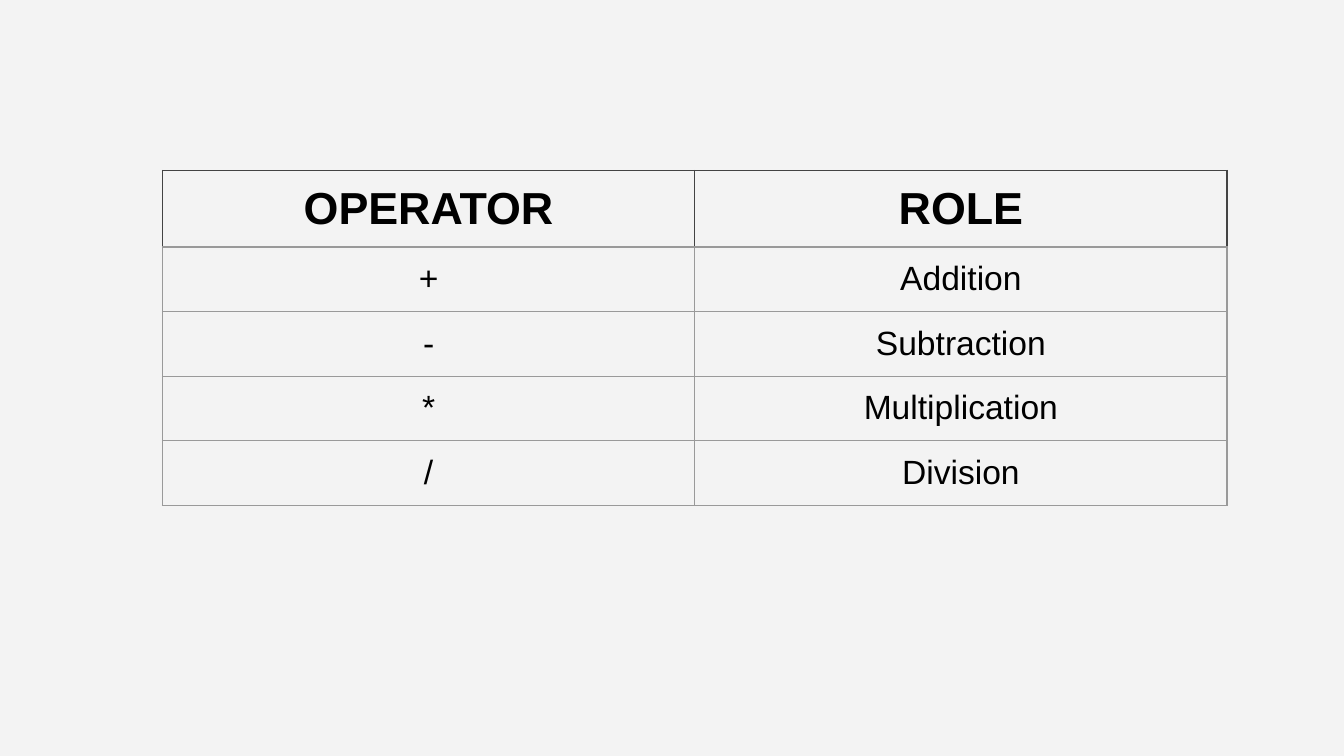
from lxml.etree import SubElement
from pptx import Presentation
from pptx.dml.color import RGBColor
from pptx.enum.text import PP_ALIGN
from pptx.oxml.ns import qn
from pptx.util import Cm, Pt

# Content
ROWS = [
    ("OPERATOR", "ROLE"),
    ("+", "Addition"),
    ("-", "Subtraction"),
    ("*", "Multiplication"),
    ("/", "Division"),
]

# Style
BACKGROUND = RGBColor(0xF3, 0xF3, 0xF3)
TEXT = RGBColor(0x00, 0x00, 0x00)
HEADER_BORDER = RGBColor(0x43, 0x43, 0x43)
BODY_BORDER = RGBColor(0x99, 0x99, 0x99)
FONT = "Arial"
HEADER_SIZE, BODY_SIZE = Pt(24), Pt(18)
BORDER_WIDTH = Pt(0.75)

# Layout
LEFT, TOP = Cm(3.07), Cm(3.22)
COLUMN_WIDTH = Cm(10.06)
HEADER_HEIGHT, BODY_HEIGHT = Cm(1.45), Cm(1.22)
CELL_MARGIN = Cm(0.25)


def set_borders(cell, colors):
    """Draw the left, right, top and bottom borders in the given colours."""
    properties = cell._tc.get_or_add_tcPr()
    for index, (side, color) in enumerate(zip("LRTB", colors)):
        line = SubElement(properties, qn(f"a:ln{side}"), w=str(BORDER_WIDTH))
        fill = SubElement(line, qn("a:solidFill"))
        SubElement(fill, qn("a:srgbClr"), val=str(color))
        properties.insert(index, line)


def fill_cell(cell, text, is_header):
    cell.fill.background()
    cell.margin_left = cell.margin_right = CELL_MARGIN
    cell.margin_top = cell.margin_bottom = CELL_MARGIN
    side_color = HEADER_BORDER if is_header else BODY_BORDER
    set_borders(cell, [side_color] * 3 + [BODY_BORDER])

    paragraph = cell.text_frame.paragraphs[0]
    paragraph.alignment = PP_ALIGN.CENTER
    run = paragraph.add_run()
    run.text = text
    run.font.name = FONT
    run.font.size = HEADER_SIZE if is_header else BODY_SIZE
    run.font.bold = is_header
    run.font.color.rgb = TEXT


def main():
    presentation = Presentation()
    presentation.slide_width, presentation.slide_height = Cm(25.4), Cm(14.29)
    slide = presentation.slides.add_slide(presentation.slide_layouts[6])
    slide.background.fill.solid()
    slide.background.fill.fore_color.rgb = BACKGROUND

    # Operator table
    column_count = len(ROWS[0])
    table = slide.shapes.add_table(
        len(ROWS), column_count, LEFT, TOP,
        COLUMN_WIDTH * column_count,
        HEADER_HEIGHT + BODY_HEIGHT * (len(ROWS) - 1),
    ).table
    table.first_row = table.horz_banding = False
    for column in table.columns:
        column.width = COLUMN_WIDTH
    for row_index, texts in enumerate(ROWS):
        is_header = row_index == 0
        row = table.rows[row_index]
        row.height = HEADER_HEIGHT if is_header else BODY_HEIGHT
        for cell, text in zip(row.cells, texts):
            fill_cell(cell, text, is_header)

    presentation.save("out.pptx")


if __name__ == "__main__":
    main()
